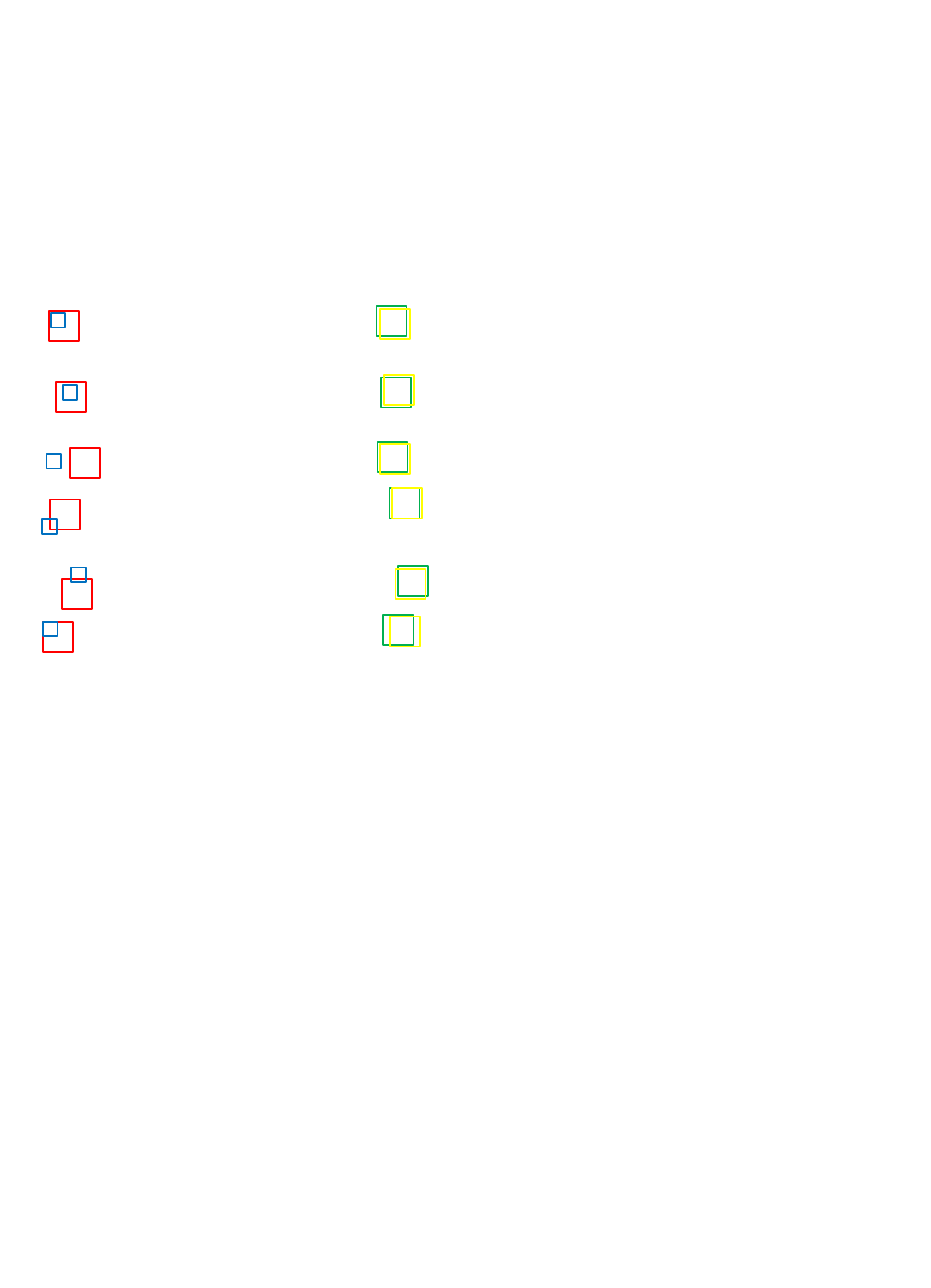
from pptx import Presentation
from pptx.dml.color import RGBColor
from pptx.enum.shapes import MSO_SHAPE
from pptx.util import Inches, Pt

THEME = {
    "red": RGBColor(0xFF, 0x00, 0x00),
    "blue": RGBColor(0x00, 0x70, 0xC0),
    "green": RGBColor(0x00, 0xB0, 0x50),
    "yellow": RGBColor(0xFF, 0xFF, 0x00),
    "outline": Pt(1.5),
}

presentation = Presentation()
presentation.slide_width = Inches(10.83)
presentation.slide_height = Inches(14.98)
slide = presentation.slides.add_slide(presentation.slide_layouts[6])

GRID_COLUMNS, GRID_ROWS = 1083, 1498
column = presentation.slide_width / GRID_COLUMNS
row = presentation.slide_height / GRID_ROWS

SQUARE_SIDES = {"red": 35, "blue": 17, "green": 35, "yellow": 35}

ROW_PAIRS = [
    [
        [(57, 362), (59, 364), (438, 356), (442, 359)],
        [(65, 444), (73, 448), (443, 439), (447, 436)],
    ],
    [
        [(81, 521), (54, 528), (439, 514), (442, 516)],
        [(58, 581), (49, 604), (453, 568), (456, 568)],
    ],
    [
        [(72, 673), (83, 660), (463, 658), (460, 662)],
        [(50, 723), (50, 723), (446, 715), (454, 717)],
    ],
]

for row_pair in ROW_PAIRS:
    group = slide.shapes.add_group_shape()
    for corners in row_pair:
        for (color, side), (left, top) in zip(SQUARE_SIDES.items(), corners):
            square = group.shapes.add_shape(
                MSO_SHAPE.RECTANGLE,
                round(left * column), round(top * row),
                round(side * column), round(side * row),
            )
            square.shadow.inherit = False
            square.fill.background()
            square.line.color.rgb = THEME[color]
            square.line.width = THEME["outline"]

presentation.save("out.pptx")
